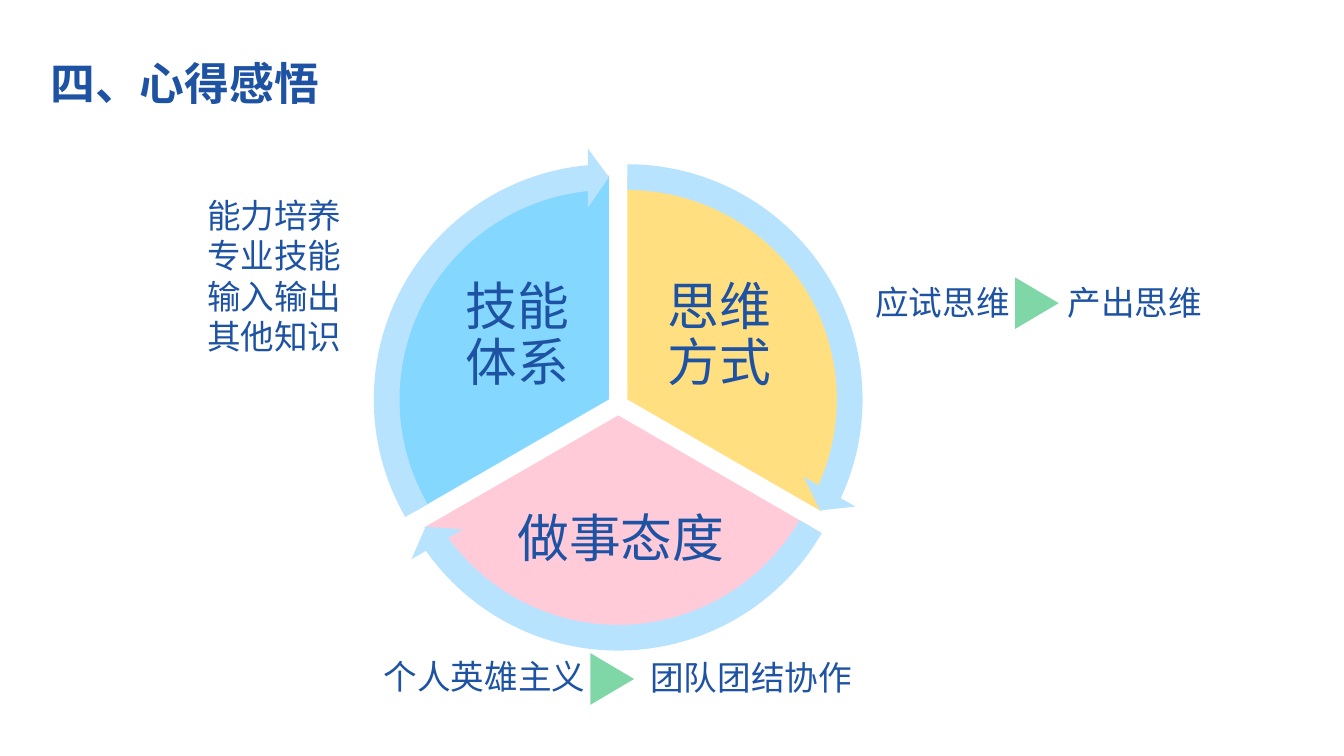
import math
from lxml import etree
from pptx import Presentation
from pptx import util as u
from pptx.dml import color
from pptx.enum import shapes, text
from pptx.oxml import ns

HUE = {"ink": "1E53A4", "ring": "B8E3FF", "gold": "FFC000",
       "pink": "FF99B4", "sky": "0BB0FF", "green": "00B050"}
SANS = "Noto Sans CJK SC"
HUB = (15.58, 10.2)
GAP, RADIUS, RING = 0.27, 5.64, 12.7
WEDGES = [("思维方式", "gold", (6.07, 2.51, 1.45, 5.66)),
          ("做事态度", "pink", (2.82, 7.47, 2.69, 1.14)),
          ("技能体系", "sky", (1.45, 2.51, 6.07, 5.66))]


def paint(shape, hue, alpha=None):
    shape.shadow.inherit = False
    shape.line.fill.background()
    shape.fill.solid()
    shape.fill.fore_color.rgb = color.RGBColor.from_string(HUE[hue])
    if alpha:
        rgb = shape.fill._xPr.find(".//" + ns.qn("a:srgbClr"))
        etree.SubElement(rgb, ns.qn("a:alpha"), val=str(alpha * 1000))


def write(shape, lines, insets, form, pitch, align=text.PP_ALIGN.LEFT,
          anchor=text.MSO_ANCHOR.TOP, wrap=True):
    """Fill a shape with paragraphs; insets run left, top, right, bottom."""
    frame = shape.text_frame
    frame.word_wrap = wrap
    frame.vertical_anchor = anchor
    for side, inset in zip(("left", "top", "right", "bottom"), insets):
        setattr(frame, "margin_" + side, u.Cm(inset))
    for i, line in enumerate(lines):
        para = frame.paragraphs[0] if i == 0 else frame.add_paragraph()
        para.alignment, para.line_spacing = align, pitch
        run = para.add_run()
        run.text = line
        for key, value in form.items():
            setattr(run.font, key, value)
        run.font.color.rgb = color.RGBColor.from_string(HUE["ink"])
        east = etree.SubElement(run._r.get_or_add_rPr(), ns.qn("a:ea"))
        east.set("typeface", form["name"])


def label(slide, lines, left, top, width, height, inset=0.13, wrap=True):
    box = slide.shapes.add_textbox(*map(u.Cm, (left, top, width, height)))
    form = {"name": SANS, "size": u.Pt(24)}
    write(box, lines, (inset, 0.13, inset, 0.13), form, u.Pt(28.6), wrap=wrap)


def polar(mid, reach, angle):
    turn = math.radians(angle)
    return mid[0] + reach * math.cos(turn), mid[1] + reach * math.sin(turn)


def trace(route, kind, dots=()):
    """Add one drawing step to a freeform outline."""
    step = etree.SubElement(route, ns.qn("a:" + kind))
    for x, y in dots:
        etree.SubElement(step, ns.qn("a:pt"), x=str(u.Cm(x)), y=str(u.Cm(y)))


def wedge(slide, mid, axis, name, hue, insets):
    """Draw a third of the disc, in a box that holds the whole disc."""
    low, high = ([u.Cm(c + way * RADIUS) for c in mid] for way in (-1, 1))
    form = slide.shapes.build_freeform(*low)
    form.add_line_segments([high], close=True)
    shape = form.convert_to_shape()
    route = shape._element.find(".//" + ns.qn("a:path"))
    for step in list(route):
        route.remove(step)
    core = (RADIUS, RADIUS)
    # Bezier handles for an arc of 60 degrees
    lean = math.atan(4 / 3 * math.tan(math.radians(15)))
    reach, lean = RADIUS / math.cos(lean), math.degrees(lean)
    trace(route, "moveTo", [polar(core, RADIUS, axis - 60)])
    for start in (axis - 60, axis):
        trace(route, "cubicBezTo", [polar(core, reach, start + lean),
                                    polar(core, reach, start + 60 - lean),
                                    polar(core, RADIUS, start + 60)])
    trace(route, "lnTo", [core])
    trace(route, "lnTo", [polar(core, RADIUS, axis - 60)])
    trace(route, "close")
    paint(shape, hue, 50)
    write(shape, [name], insets, {"name": "Roboto", "size": u.Pt(37)}, 0.9,
          text.PP_ALIGN.CENTER, text.MSO_ANCHOR.MIDDLE)


def arrow(slide, mid, step):
    left, top = (u.Cm(c - RING / 2) for c in mid)
    shape = slide.shapes.add_shape(shapes.MSO_SHAPE.CIRCULAR_ARROW,
                                   left, top, u.Cm(RING), u.Cm(RING))
    # Angles are in units of 100000/60000 degrees, so a turn is 216
    turn = 72 * step
    bends = (0.051, 3.275, 14.725 + turn, (162 + turn) % 216, 0.059)
    for i, bend in enumerate(bends):
        shape.adjustments[i] = bend
    paint(shape, "ring")


def marker(slide, left, top):
    shape = slide.shapes.add_shape(shapes.MSO_SHAPE.FLOWCHART_EXTRACT,
                                   *map(u.Cm, (left, top, 1.3, 1.1)))
    shape.rotation = 90
    paint(shape, "green", 50)


def main():
    deck = Presentation()
    deck.slide_width, deck.slide_height = u.Cm(33.87), u.Cm(19.05)
    slide = deck.slides.add_slide(deck.slide_layouts[6])

    title = slide.shapes.add_textbox(*map(u.Cm, (1.27, 1.27, 31.32, 2.46)))
    write(title, ["四、心得感悟"], (0, 0, 0, 0),
          {"name": SANS, "size": u.Pt(32), "bold": True}, u.Pt(42))

    axes = [120 * i - 30 for i in range(len(WEDGES))]
    mids = [polar(HUB, GAP, axis) for axis in axes]
    for mid, axis, part in zip(mids, axes, WEDGES):
        wedge(slide, mid, axis, *part)
    for step, mid in enumerate(mids):
        arrow(slide, mid, step)

    label(slide, ["能力培养", "专业技能", "输入输出", "其他知识"],
          5.09, 4.8, 5.36, 4.37)
    label(slide, ["应试思维"], 21.93, 6.99, 12.7, 1.27)
    label(slide, ["个人英雄主义"], 9.54, 16.41, 5.36, 1.27)
    marker(slide, 14.78, 16.56)
    marker(slide, 25.48, 7.09)
    label(slide, ["产出思维"], 26.66, 6.99, 3.94, 1.27, 0.25, False)
    label(slide, ["团队团结协作"], 16.14, 16.43, 5.64, 1.27, 0.25, False)
    deck.save("out.pptx")


if __name__ == "__main__":
    main()
